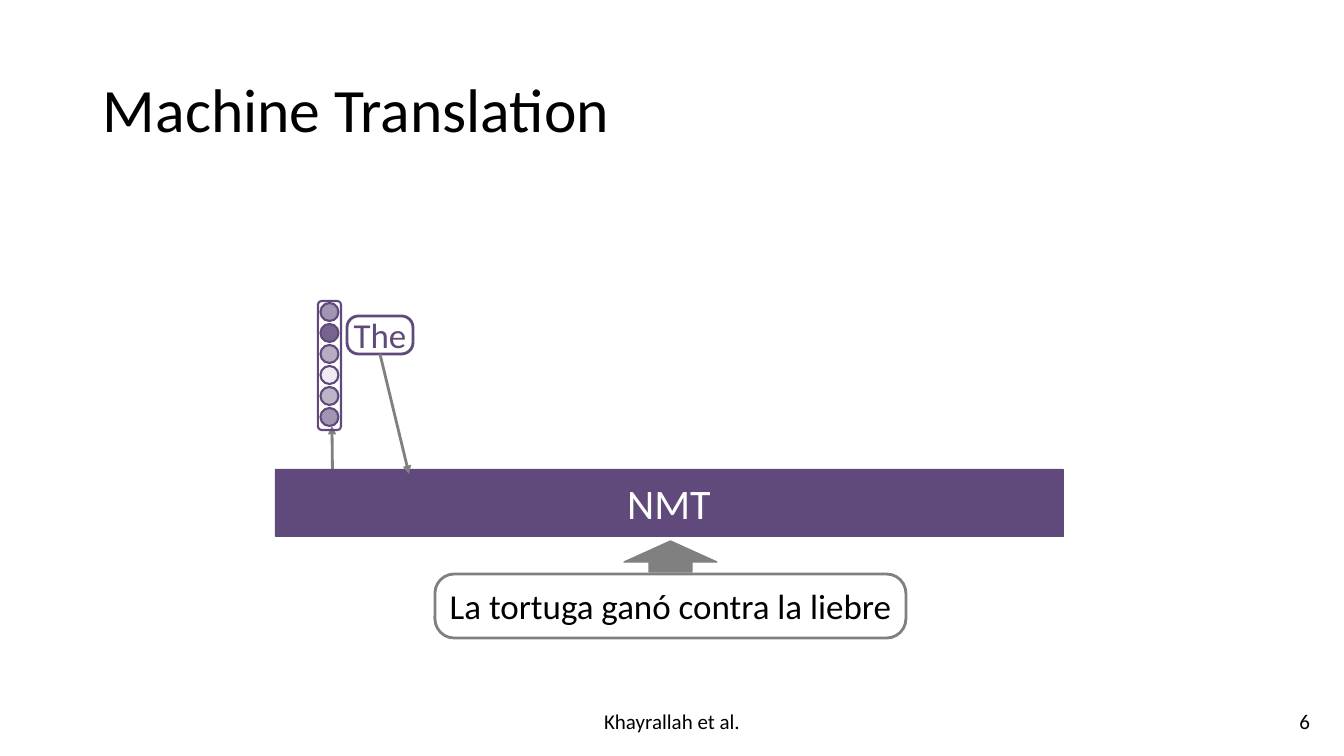
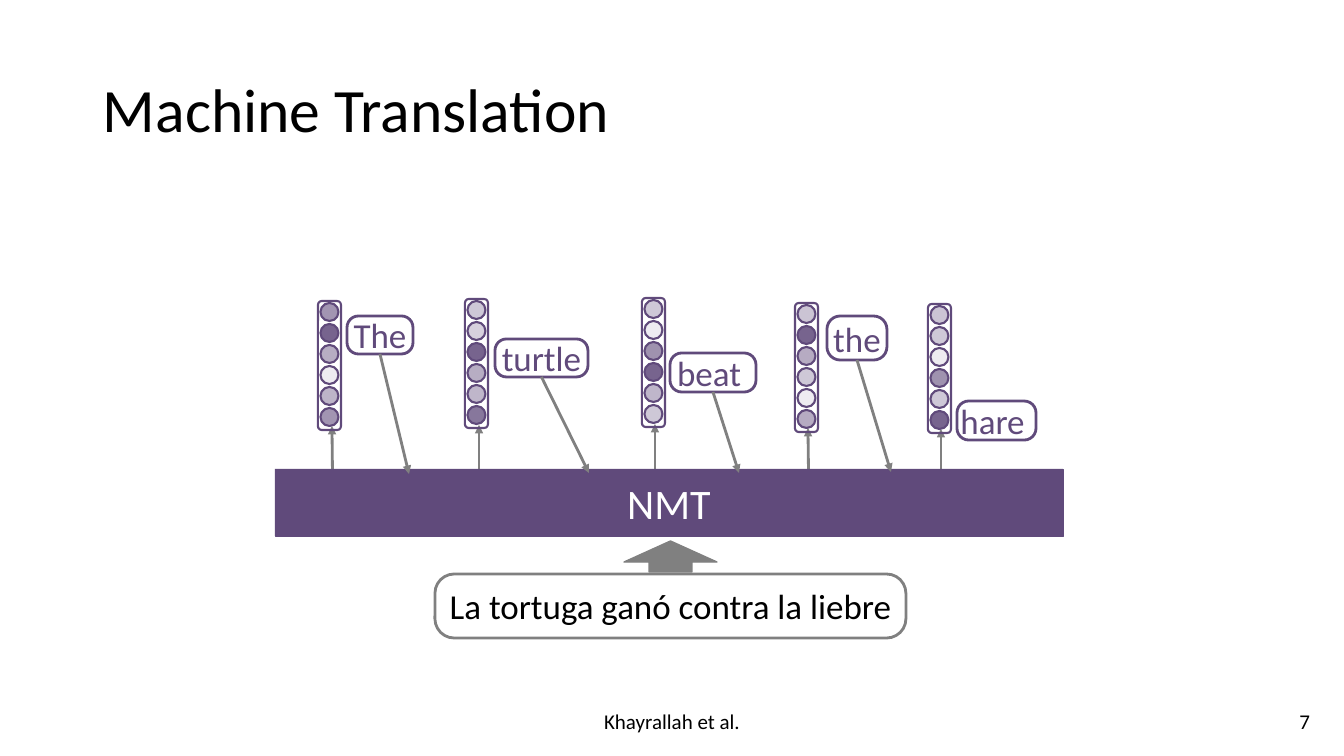
"""Build two slides that show a translation model emitting words one by one."""
from dataclasses import dataclass
from typing import Any

from lxml.etree import SubElement
from pptx import Presentation
from pptx.dml.color import RGBColor
from pptx.enum.shapes import MSO_CONNECTOR as Connector
from pptx.enum.shapes import MSO_SHAPE as Preset
from pptx.enum.text import MSO_ANCHOR as Anchor
from pptx.enum.text import PP_ALIGN as Align
from pptx.oxml.ns import qn
from pptx.util import Emu, Pt

EMU_PER_PIXEL = 914400 / 100.8
COLORS = {"purple": "604A7B", "gray": "808080", "black": "000000", "white": "FFFFFF"}
FONT = "Calibri"
ROUNDING = [0.301]
BAR_WIDTH, BAR_HEIGHT = 23, 129
BEAD_SIZE, BEAD_STEP = 18, 21
BEAD_INSET = (BAR_WIDTH - BEAD_SIZE) / 2
TIGHT = {"margin_left": 0, "margin_right": 0, "margin_top": 0, "margin_bottom": 0}
SNUG_SIDES = {"margin_left": 0, "margin_right": 0}


@dataclass(frozen=True)
class Box:
    left: float
    top: float
    width: float
    height: float


@dataclass(frozen=True)
class Point:
    x: float
    y: float


@dataclass(frozen=True)
class TextStyle:
    size: int
    color: str
    align: Align = Align.CENTER
    spacing: float = 1.0


@dataclass(frozen=True)
class Step:
    word: str
    box: Box
    bar: Point
    opacities: tuple[int, ...]
    rise: tuple[Point, Point]
    feed: Point | None = None


HEADING = TextStyle(44, "black", Align.LEFT, 0.9)
FOOTER = TextStyle(15, "black")
PAGE_NUMBER = TextStyle(15, "black", Align.RIGHT)
MODEL = TextStyle(30, "white")
SENTENCE = TextStyle(25, "black")
WORD = TextStyle(25, "purple")

STEPS = [
    Step("The", Box(347, 316, 66, 38), Point(318, 301), (58, 85, 45, 10, 41, 58),
         (Point(333, 518), Point(332, 426)), Point(409, 474)),
    Step("turtle", Box(495, 339, 93, 38), Point(465, 299), (30, 25, 85, 45, 40, 75),
         (Point(479, 516), Point(479, 425)), Point(589, 473)),
    Step("beat ", Box(670, 353, 86, 39), Point(642, 298), (30, 10, 60, 85, 40, 30),
         (Point(655, 524), Point(655, 424)), Point(739, 473)),
    Step("the", Box(827, 316, 60, 44), Point(795, 303), (32, 85, 46, 30, 10, 46),
         (Point(809, 509), Point(808, 428)), Point(891, 472)),
    Step("hare ", Box(957, 401, 79, 39), Point(928, 304), (32, 30, 10, 60, 30, 85),
         (Point(941, 526), Point(941, 429))),
]


def px(pixels: float) -> Emu:
    """Turn pixels into EMU."""
    return Emu(round(pixels * EMU_PER_PIXEL))


def place(box: Box) -> list[Emu]:
    """Give the four lengths of a box in EMU."""
    return [px(length) for length in (box.left, box.top, box.width, box.height)]


def rgb(name: str) -> RGBColor:
    """Look up a named colour."""
    return RGBColor.from_string(COLORS[name])


def apply(target: Any, values: dict[str, Any]) -> None:
    """Set each named attribute on the target."""
    for name, value in values.items():
        setattr(target, name, value)


def write(frame: Any, text: str, style: TextStyle, margins: dict[str, int] | None = None) -> None:
    """Fill a text frame with one styled paragraph."""
    apply(frame, {"word_wrap": True, "vertical_anchor": Anchor.MIDDLE, **(margins or {})})
    paragraph = frame.paragraphs[0]
    apply(paragraph, {"alignment": style.align, "line_spacing": style.spacing})
    run = paragraph.add_run()
    run.text = text
    apply(run.font, {"name": FONT, "size": Pt(style.size)})
    run.font.color.rgb = rgb(style.color)


def add_label(slide: Any, box: Box, text: str, style: TextStyle) -> None:
    """Add a text box."""
    write(slide.shapes.add_textbox(*place(box)).text_frame, text, style)


def add_figure(slide: Any, preset: Preset, box: Box, line: str, weight: float,
               fill: str | None = None, opacity: int = 100,
               adjustments: list[float] | None = None) -> Any:
    """Add an outlined preset shape with an optional see-through fill."""
    figure = slide.shapes.add_shape(preset, *place(box))
    figure.shadow.inherit = False
    for index, value in enumerate(adjustments or []):
        figure.adjustments[index] = value
    figure.line.color.rgb = rgb(line)
    figure.line.width = Pt(weight)
    if fill is None:
        figure.fill.background()
        return figure
    figure.fill.solid()
    figure.fill.fore_color.rgb = rgb(fill)
    if opacity < 100:
        color = figure.fill._xPr.find(f"{qn('a:solidFill')}/{qn('a:srgbClr')}")
        SubElement(color, qn("a:alpha")).set("val", str(opacity * 1000))
    return figure


def add_arrow(slide: Any, start: Point, end: Point) -> None:
    """Add a gray arrow from start to end."""
    arrow = slide.shapes.add_connector(
        Connector.STRAIGHT, px(start.x), px(start.y), px(end.x), px(end.y))
    arrow.line.color.rgb = rgb("gray")
    arrow.line.width = Pt(2)
    SubElement(arrow.line._get_or_add_ln(), qn("a:tailEnd")).set("type", "triangle")
    SubElement(arrow._element.spPr, qn("a:effectLst"))


def add_word(slide: Any, step: Step) -> None:
    """Add the rounded box of an output word."""
    word = add_figure(slide, Preset.ROUNDED_RECTANGLE, step.box, "purple", 2,
                      adjustments=ROUNDING)
    write(word.text_frame, step.word, WORD, TIGHT)


def add_vector(slide: Any, step: Step) -> None:
    """Add a bar of beads whose opacity shows the output vector."""
    bar = step.bar
    add_figure(slide, Preset.ROUNDED_RECTANGLE,
               Box(bar.x, bar.y, BAR_WIDTH, BAR_HEIGHT), "purple", 1.5)
    for index, opacity in enumerate(step.opacities):
        bead = Box(bar.x + BEAD_INSET, bar.y + 2 + index * BEAD_STEP, BEAD_SIZE, BEAD_SIZE)
        add_figure(slide, Preset.OVAL, bead, "purple", 1.5, "purple", opacity)


def add_model(slide: Any) -> None:
    """Add the band of the translation model."""
    model = add_figure(slide, Preset.RECTANGLE, Box(275, 469, 788, 67),
                       "purple", 0.5, "purple")
    write(model.text_frame, "NMT", MODEL)


def add_source(slide: Any) -> None:
    """Add the source sentence and its block arrow into the model."""
    sentence = add_figure(slide, Preset.ROUNDED_RECTANGLE, Box(435, 574, 471, 64),
                          "gray", 2, adjustments=ROUNDING)
    write(sentence.text_frame, "La tortuga ganó contra la liebre", SENTENCE, SNUG_SIDES)
    add_figure(slide, Preset.UP_ARROW, Box(624, 541, 93, 31), "gray", 1, "gray",
               adjustments=[0.462, 0.679])


def add_translation(deck: Any, number: int, steps: list[Step]) -> None:
    """Add a slide that shows the given decoding steps."""
    slide = deck.slides.add_slide(deck.slide_layouts[6])
    for step in steps:
        add_word(slide, step)
    for step in steps:
        add_arrow(slide, *step.rise)
    add_model(slide)
    for step in steps:
        add_vector(slide, step)
    for step in steps:
        if step.feed:
            box = step.box
            add_arrow(slide, Point(box.left + box.width / 2, box.top + box.height), step.feed)
    add_label(slide, Box(93, 40, 1159, 146), "Machine Translation", HEADING)
    add_label(slide, Box(502, 701, 340, 40), "Khayrallah et al.", FOOTER)
    add_source(slide)
    add_label(slide, Box(1018, 701, 302, 40), str(number), PAGE_NUMBER)


def main() -> None:
    """Build and save the deck."""
    deck = Presentation()
    apply(deck, {"slide_width": px(1344), "slide_height": px(756)})
    for number, count in ((6, 1), (7, len(STEPS))):
        add_translation(deck, number, STEPS[:count])
    deck.save("out.pptx")


main()
